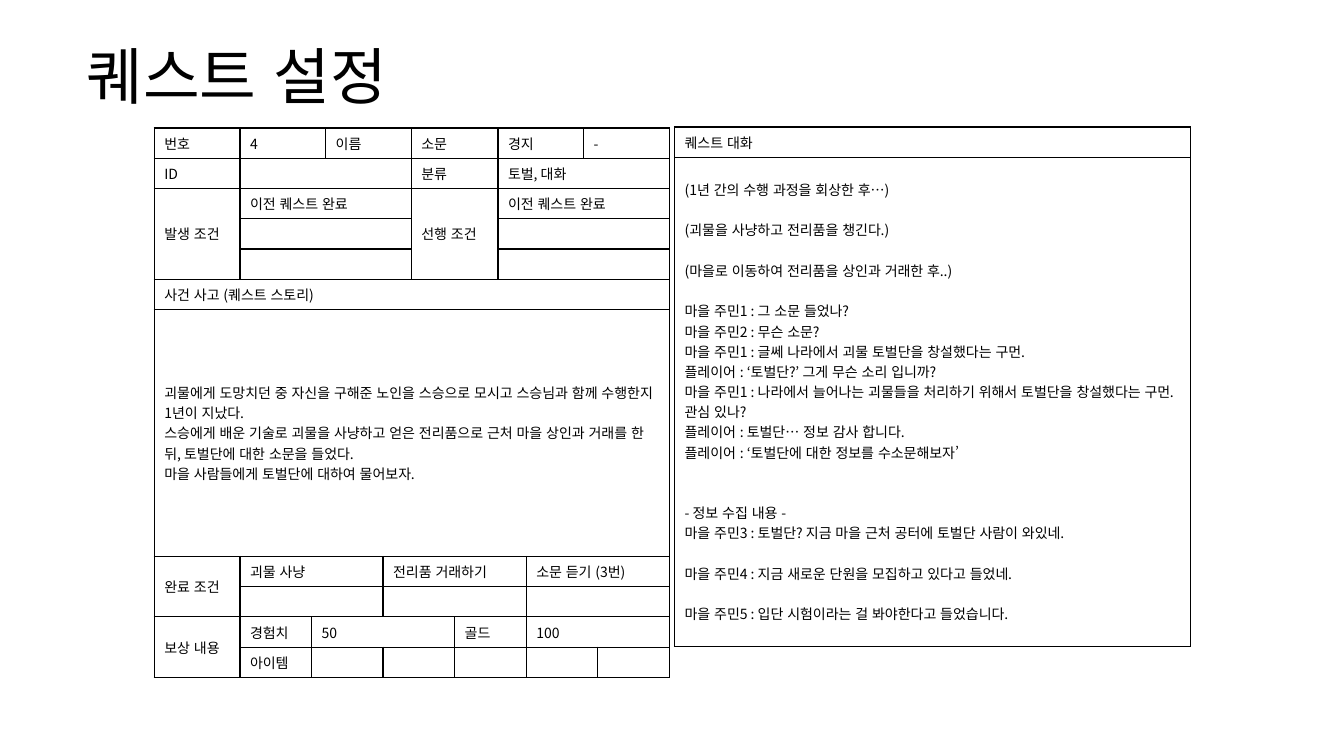
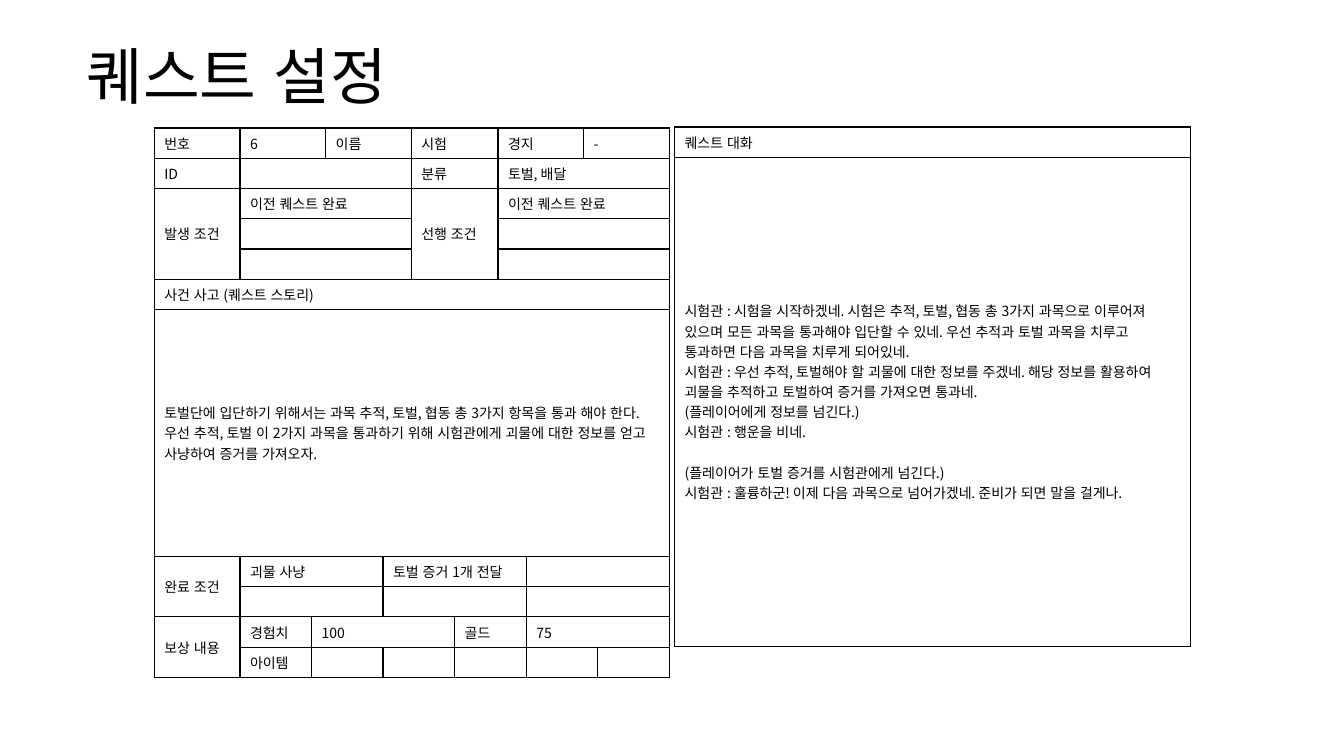
from lxml.etree import SubElement
from pptx import Presentation
from pptx.dml.color import RGBColor
from pptx.enum.lang import MSO_LANGUAGE_ID as Language
from pptx.enum.text import MSO_ANCHOR as Anchor
from pptx.oxml.ns import qn
from pptx.util import Inches, Pt

BLACK = RGBColor(0x00, 0x00, 0x00)
FONT = "Noto Sans CJK KR"
TITLE_SIZE = 44
BODY_SIZE = 10
BLANK_LINE = 14.5
ROW_HEIGHT = 0.3
STORY_HEIGHT = 2.45
DIALOGUE_HEIGHT = 4.85
QUEST_COLUMNS = [0.85, 0.71, 0.14, 0.57, 0.28, 0.43, 0.43, 0.28, 0.57, 0.14, 0.71]
QUEST_ROWS = [ROW_HEIGHT] * 6 + [STORY_HEIGHT] + [ROW_HEIGHT] * 4

QUESTS = [
    {
        "number": "4",
        "name": "소문",
        "kind": "토벌, 대화",
        "story": [
            "괴물에게 도망치던 중 자신을 구해준 노인을 스승으로 모시고 스승님과 함께 수행한지 1년이 지났다.",
            "스승에게 배운 기술로 괴물을 사냥하고 얻은 전리품으로 근처 마을 상인과 거래를 한 뒤, 토벌단에 대한 소문을 들었다.",
            "마을 사람들에게 토벌단에 대하여 물어보자.",
        ],
        "goals": ["괴물 사냥", "전리품 거래하기", "소문 듣기 (3번)"],
        "experience": "50",
        "gold": "100",
        "dialogue": [
            "(1년 간의 수행 과정을 회상한 후…)",
            ("(괴물을 사냥하고 전리품을 챙긴다.)", 1),
            ("(마을로 이동하여 전리품을 상인과 거래한 후..)", 1),
            ("마을 주민1 : 그 소문 들었나?", 1),
            "마을 주민2 : 무슨 소문?",
            "마을 주민1 : 글쎄 나라에서 괴물 토벌단을 창설했다는 구먼.",
            "플레이어 : ‘토벌단?’ 그게 무슨 소리 입니까?",
            "마을 주민1 : 나라에서 늘어나는 괴물들을 처리하기 위해서 토벌단을 창설했다는 구먼. 관심 있나?",
            "플레이어 : 토벌단… 정보 감사 합니다.",
            "플레이어 : ‘토벌단에 대한 정보를 수소문해보자’",
            ("- 정보 수집 내용 -", 2),
            "마을 주민3 : 토벌단? 지금 마을 근처 공터에 토벌단 사람이 와있네.",
            ("마을 주민4 : 지금 새로운 단원을 모집하고 있다고 들었네.", 1),
            ("마을 주민5 : 입단 시험이라는 걸 봐야한다고 들었습니다.", 1),
        ],
    },
    {
        "number": "6",
        "name": "시험",
        "kind": "토벌, 배달",
        "story": [
            "토벌단에 입단하기 위해서는 과목 추적, 토벌, 협동 총 3가지 항목을 통과 해야 한다.",
            "우선 추적, 토벌 이 2가지 과목을 통과하기 위해 시험관에게 괴물에 대한 정보를 얻고 사냥하여 증거를 가져오자.",
        ],
        "goals": ["괴물 사냥", "토벌 증거 1개 전달", ""],
        "experience": "100",
        "gold": "75",
        "dialogue": [
            "시험관 : 시험을 시작하겠네. 시험은 추적, 토벌, 협동 총 3가지 과목으로 이루어져 있으며 모든 과목을 통과해야 입단할 수 있네. 우선 추적과 토벌 과목을 치루고 통과하면 다음 과목을 치루게 되어있네.",
            "시험관 : 우선 추적, 토벌해야 할 괴물에 대한 정보를 주겠네. 해당 정보를 활용하여 괴물을 추적하고 토벌하여 증거를 가져오면 통과네.",
            "(플레이어에게 정보를 넘긴다.)",
            "시험관 : 행운을 비네.",
            ("(플레이어가 토벌 증거를 시험관에게 넘긴다.)", 1),
            "시험관 : 훌륭하군! 이제 다음 과목으로 넘어가겠네. 준비가 되면 말을 걸게나.",
        ],
    },
]


class QuestDeck:
    """Holds the shared style and the slide being built."""

    def __init__(self):
        self.presentation = Presentation()
        self.presentation.slide_width = Inches(13.33)
        self.presentation.slide_height = Inches(7.5)
        self.slide = None

    def add_slide(self, title):
        self.slide = self.presentation.slides.add_slide(self.presentation.slide_layouts[6])
        box = self.slide.shapes.add_textbox(Inches(0.76), Inches(0.32), Inches(11.81), Inches(0.94))
        frame = box.text_frame
        frame.word_wrap = True
        frame.vertical_anchor = Anchor.MIDDLE
        frame.paragraphs[0].line_spacing = 0.9
        self.add_run(frame.paragraphs[0], title, TITLE_SIZE)

    def add_run(self, paragraph, text, size):
        run = paragraph.add_run()
        run.text = text
        font = run.font
        font.size = Pt(size)
        font.name = FONT
        font.color.rgb = BLACK
        font.language_id = Language.KOREAN
        SubElement(run._r.get_or_add_rPr(), qn("a:ea"), typeface=FONT)

    def add_table(self, left, top, widths, heights):
        frame = self.slide.shapes.add_table(
            len(heights), len(widths), Inches(left), Inches(top),
            Inches(sum(widths)), Inches(sum(heights)),
        )
        table = frame.table
        table.first_row = table.horz_banding = False
        for column, width in zip(table.columns, widths):
            column.width = Inches(width)
        for row, height in zip(table.rows, heights):
            row.height = Inches(height)
        for cell in table.iter_cells():
            self.style_cell(cell)
        return table

    def style_cell(self, cell):
        properties = cell._tc.get_or_add_tcPr()
        for side in ("lnL", "lnR", "lnT", "lnB"):
            line = SubElement(properties, qn(f"a:{side}"), w=str(Pt(1)))
            fill = SubElement(line, qn("a:solidFill"))
            SubElement(fill, qn("a:srgbClr"), val=str(BLACK))
        cell.fill.background()
        cell.vertical_anchor = Anchor.MIDDLE
        end = cell.text_frame.paragraphs[0]._p.get_or_add_endParaRPr()
        end.set("sz", str(BODY_SIZE * 100))

    def write_cell(self, cell, lines):
        frame = cell.text_frame
        for index, line in enumerate(lines):
            text, blanks = (line, 0) if isinstance(line, str) else line
            paragraph = frame.add_paragraph() if index else frame.paragraphs[0]
            if blanks:
                paragraph.space_before = Pt(blanks * BLANK_LINE)
            if text:
                self.add_run(paragraph, text, BODY_SIZE)

    def fill_row(self, table, row, cells, column=0):
        for text, across, down in cells:
            cell = table.cell(row, column)
            if across > 1 or down > 1:
                cell.merge(table.cell(row + down - 1, column + across - 1))
            self.write_cell(cell, [text] if isinstance(text, str) else text)
            column += across

    def add_quest(self, quest):
        table = self.add_table(1.53, 1.27, QUEST_COLUMNS, QUEST_ROWS)
        pairs = [quest["number"], "이름", quest["name"], "경지", "-"]
        condition = "이전 퀘스트 완료"
        goal_spans = (3, 4, 3)
        self.fill_row(table, 0, [("번호", 1, 1)] + [(text, 2, 1) for text in pairs])
        self.fill_row(table, 1, [("ID", 1, 1), ("", 4, 1), ("분류", 2, 1), (quest["kind"], 4, 1)])
        self.fill_row(table, 2, [
            ("발생 조건", 1, 3), (condition, 4, 1), ("선행 조건", 2, 3), (condition, 4, 1),
        ])
        for row in (3, 4):
            for column in (1, 7):
                self.fill_row(table, row, [("", 4, 1)], column)
        self.fill_row(table, 5, [("사건 사고 (퀘스트 스토리)", 11, 1)])
        self.fill_row(table, 6, [(quest["story"], 11, 1)])
        goals = [(text, span, 1) for text, span in zip(quest["goals"], goal_spans)]
        self.fill_row(table, 7, [("완료 조건", 1, 2)] + goals)
        self.fill_row(table, 8, [("", span, 1) for span in goal_spans], 1)
        self.fill_row(table, 9, [
            ("보상 내용", 1, 2), ("경험치", 1, 1), (quest["experience"], 4, 1),
            ("골드", 2, 1), (quest["gold"], 3, 1),
        ])
        self.fill_row(table, 10, [("아이템", 1, 1)] + [("", 2, 1)] * 4, 1)

    def add_dialogue(self, lines):
        table = self.add_table(6.69, 1.26, [5.12], [ROW_HEIGHT, DIALOGUE_HEIGHT])
        self.write_cell(table.cell(0, 0), ["퀘스트 대화"])
        self.write_cell(table.cell(1, 0), lines)


def main():
    deck = QuestDeck()
    for quest in QUESTS:
        deck.add_slide("퀘스트 설정")
        deck.add_quest(quest)
        deck.add_dialogue(quest["dialogue"])
    deck.presentation.save("out.pptx")


if __name__ == "__main__":
    main()
